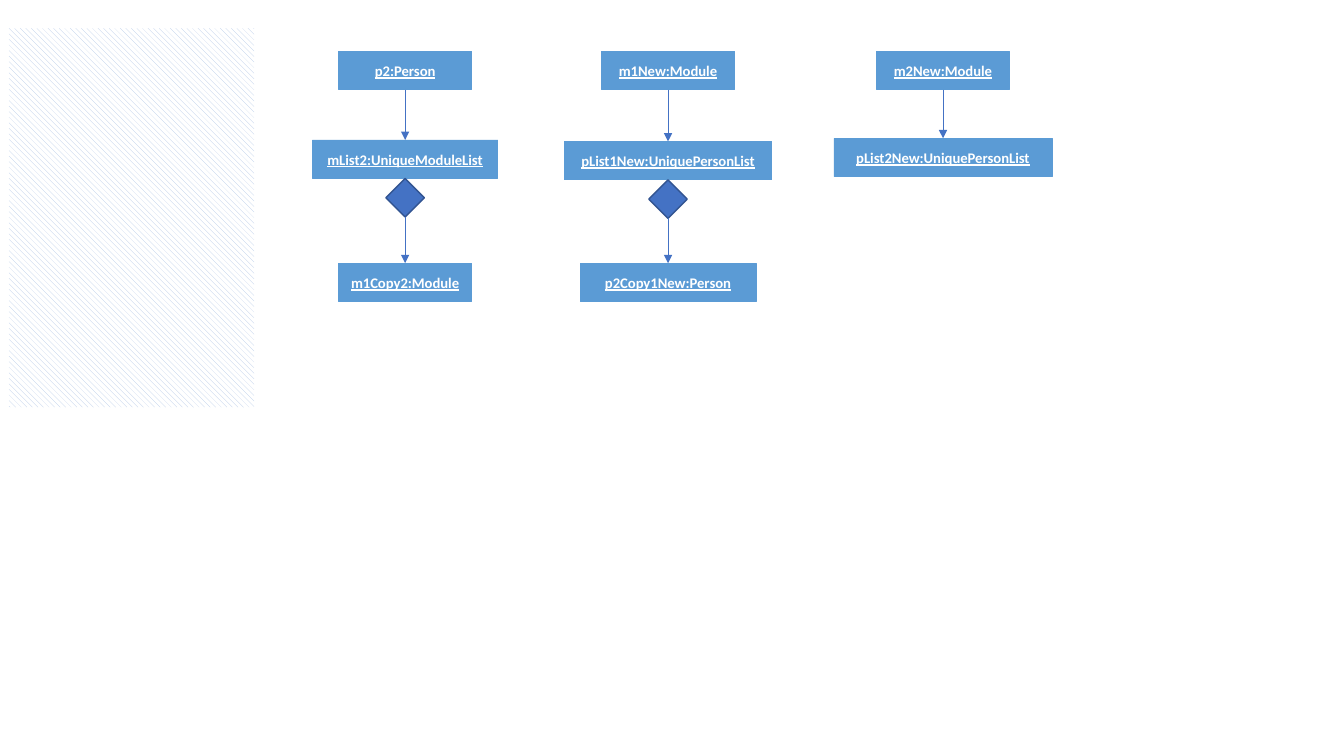
"""Builds an object diagram of persons, modules and their unique lists."""
from dataclasses import dataclass

from lxml import etree
from pptx import Presentation
from pptx.dml.color import RGBColor
from pptx.enum.dml import MSO_PATTERN
from pptx.enum.shapes import MSO_CONNECTOR, MSO_SHAPE
from pptx.enum.text import MSO_ANCHOR, PP_ALIGN
from pptx.oxml.ns import qn
from pptx.util import Pt

RECT, DIAMOND = MSO_SHAPE.RECTANGLE, MSO_SHAPE.DIAMOND
STRAIGHT = MSO_CONNECTOR.STRAIGHT
HATCH = MSO_PATTERN.WIDE_DOWNWARD_DIAGONAL
MIDDLE, CENTER = MSO_ANCHOR.MIDDLE, PP_ALIGN.CENTER
BOTTOM_SITE, TOP_SITE = 2, 0


@dataclass(frozen=True)
class Theme:
    box: RGBColor = RGBColor(0x5B, 0x9B, 0xD5)
    accent: RGBColor = RGBColor(0x44, 0x72, 0xC4)
    diamond_edge: RGBColor = RGBColor(0x32, 0x54, 0x91)
    hatch: RGBColor = RGBColor(0xB4, 0xC7, 0xE7)
    white: RGBColor = RGBColor(0xFF, 0xFF, 0xFF)
    font: str = "Calibri"
    size: float = 10.5


theme = Theme()
SIDE = 27.5
OBJECT_TOP, OBJECT_WIDTH, COPY_TOP = 36.6, 95, 188


def add_node(kind, center, top, width, fill, edge, weight, text=""):
    sp = s.shapes.add_shape(kind, Pt(center - width / 2), Pt(top), Pt(width), Pt(SIDE))
    sp.shadow.inherit = False
    sp.fill.solid()
    sp.fill.fore_color.rgb = fill
    sp.line.color.rgb = edge
    sp.line.width = Pt(weight)
    if text:
        tf = sp.text_frame
        tf.text = text
        tf.margin_left = tf.margin_right = 0
        tf.vertical_anchor = MIDDLE
        p = tf.paragraphs[0]
        p.alignment = CENTER
        font = p.runs[0].font
        font.name, font.size = theme.font, Pt(theme.size)
        font.bold = font.underline = True
        font.color.rgb = theme.white
    return sp


def add_arrow(start, end):
    line = s.shapes.add_connector(STRAIGHT, 0, 0, 0, 0)
    line.begin_connect(start, BOTTOM_SITE)
    line.end_connect(end, TOP_SITE)
    line.line.color.rgb = theme.accent
    line.line.width = Pt(0.5)
    etree.SubElement(line.line._get_or_add_ln(), qn("a:tailEnd"), type="triangle")
    etree.SubElement(line._element.spPr, qn("a:effectLst"))


prs = Presentation()
prs.slide_width, prs.slide_height = Pt(960), Pt(540)
s = prs.slides.add_slide(prs.slide_layouts[6])

panel = s.shapes.add_shape(RECT, Pt(6.5), Pt(20.2), Pt(175), Pt(270.7))
panel.shadow.inherit = False
panel.fill.patterned()
panel.fill.pattern = HATCH
panel.fill.fore_color.rgb = theme.hatch
panel.fill.back_color.rgb = theme.white
panel.line.fill.background()

columns = [
    (289.4, "p2:Person", "mList2:UniqueModuleList", 100, 132.5, "m1Copy2:Module", 95),
    (477.2, "m1New:Module", "pList1New:UniquePersonList", 101, 148.3, "p2Copy1New:Person", 125.5),
    (673.6, "m2New:Module", "pList2New:UniquePersonList", 98.8, 155.8, "", 0),
]
box_style = (theme.box, theme.box, 0.5)
diamond_style = (theme.accent, theme.diamond_edge, 1)

for center, owner, members, list_top, list_width, member, member_width in columns:
    owner_box = add_node(RECT, center, OBJECT_TOP, OBJECT_WIDTH, *box_style, owner)
    list_box = add_node(RECT, center, list_top, list_width, *box_style, members)
    add_arrow(owner_box, list_box)
    if member:
        diamond = add_node(DIAMOND, center, list_top + SIDE, SIDE, *diamond_style)
        member_box = add_node(RECT, center, COPY_TOP, member_width, *box_style, member)
        add_arrow(diamond, member_box)

prs.save("out.pptx")
